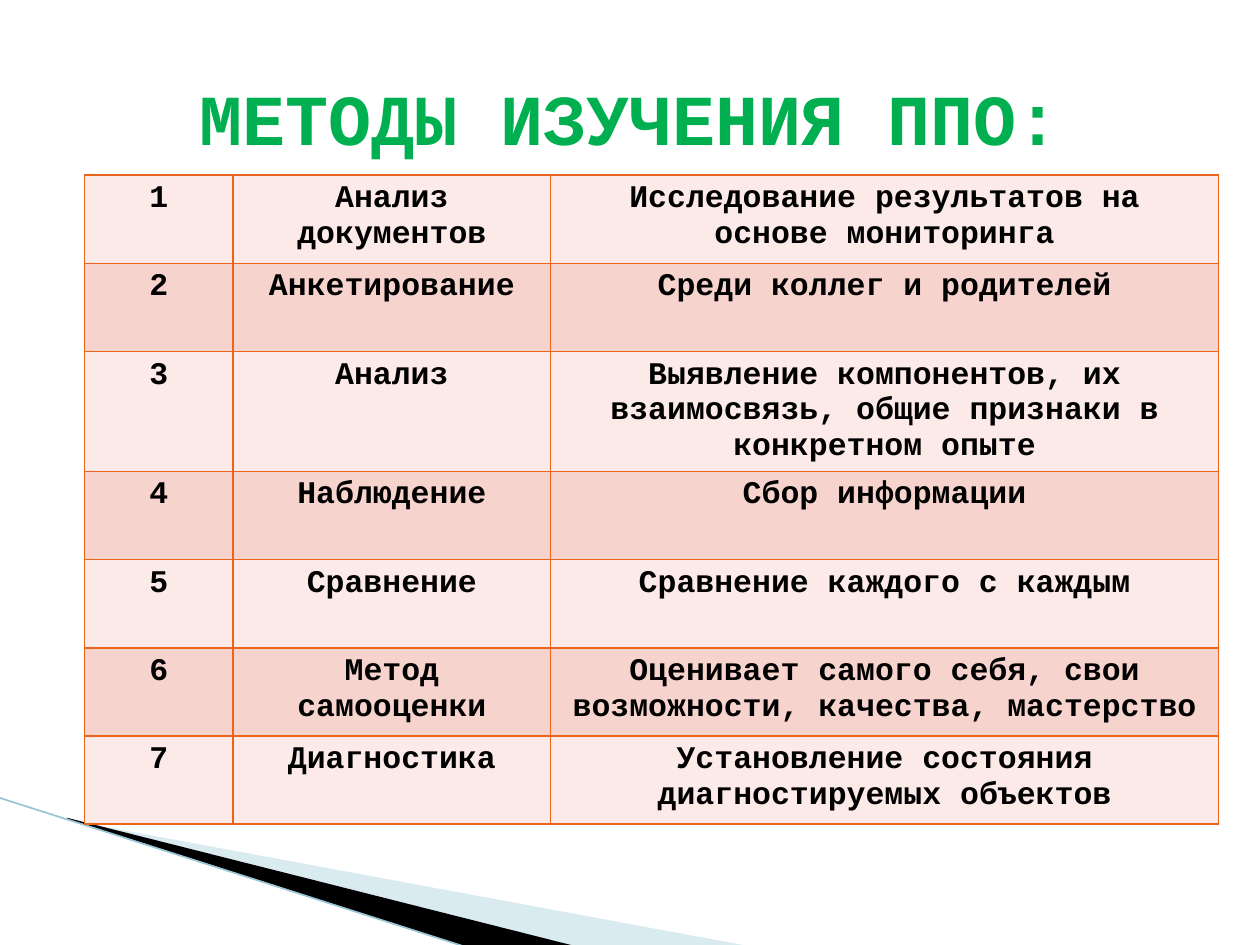
from lxml.etree import SubElement
from pptx import Presentation
from pptx.dml.color import RGBColor
from pptx.enum.shapes import MSO_CONNECTOR
from pptx.enum.text import MSO_ANCHOR, PP_ALIGN
from pptx.oxml import parse_xml
from pptx.oxml.ns import nsdecls, qn
from pptx.util import Inches, Pt

COLORS = {
    "title": "00B050",
    "text": "000000",
    "border": "EB641B",
    "light_row": "FBEAE8",
    "dark_row": "F7D3CD",
    "pale_wedge": "A0CBDC",
    "black_wedge": "000000",
    "edge": "97C5D8",
}
FONT = "Courier New"
COLUMN_WIDTHS = (1.18, 2.52, 5.3)
ROW_HEIGHT = 0.7
METHODS = [
    ("Анализ документов", "Исследование результатов на основе мониторинга"),
    ("Анкетирование", "Среди коллег и родителей"),
    ("Анализ", "Выявление компонентов, их взаимосвязь, общие признаки в конкретном опыте"),
    ("Наблюдение", "Сбор информации"),
    ("Сравнение", "Сравнение каждого с каждым"),
    ("Метод самооценки", "Оценивает самого себя, свои возможности, качества, мастерство"),
    ("Диагностика", "Установление состояния диагностируемых объектов"),
]


def rgb(name):
    return RGBColor.from_string(COLORS[name])


def write_centered(frame, text, size, color):
    para = frame.paragraphs[0]
    para.alignment = PP_ALIGN.CENTER
    span = para.add_run()
    span.text = text
    for key, value in {"name": FONT, "size": Pt(size), "bold": True}.items():
        setattr(span.font, key, value)
    span.font.color.rgb = rgb(color)


def add_wedge(page, points, color, opacity=100):
    corners = [(Inches(x), Inches(y)) for x, y in points]
    builder = page.shapes.build_freeform(*corners[0])
    builder.add_line_segments(corners[1:], close=True)
    wedge = builder.convert_to_shape()
    wedge.shadow.inherit = False
    wedge.fill.solid()
    wedge.fill.fore_color.rgb = rgb(color)
    wedge.line.fill.background()
    if opacity < 100:
        fill_color = wedge.element.spPr.find(qn("a:solidFill"))[0]
        SubElement(fill_color, qn("a:alpha")).set("val", str(opacity * 1000))


def add_edge(page, start, end):
    edge = page.shapes.add_connector(
        MSO_CONNECTOR.STRAIGHT, *(Inches(value) for value in start + end))
    edge.line.color.rgb = rgb("edge")
    edge.line.width = Pt(0.95)
    SubElement(edge.element.spPr, qn("a:effectLst"))


def set_borders(cell):
    """Put the border lines before the cell's fill, as the schema requires."""
    properties = cell._tc.get_or_add_tcPr()
    for index, side in enumerate(("lnL", "lnR", "lnT", "lnB")):
        properties.insert(index, parse_xml(
            f'<a:{side} {nsdecls("a")} w="{Pt(1)}"><a:solidFill>'
            f'<a:srgbClr val="{COLORS["border"]}"/></a:solidFill></a:{side}>'))


def add_methods_table(page):
    table = page.shapes.add_table(
        len(METHODS), len(COLUMN_WIDTHS), Inches(0.67), Inches(1.39),
        Inches(sum(COLUMN_WIDTHS)), Inches(ROW_HEIGHT * len(METHODS))).table
    table.first_row = False
    for column, width in zip(table.columns, COLUMN_WIDTHS):
        column.width = Inches(width)
    for index, (row, method) in enumerate(zip(table.rows, METHODS)):
        row.height = Inches(ROW_HEIGHT)
        for cell, text in zip(row.cells, (str(index + 1), *method)):
            write_centered(cell.text_frame, text, 18, "text")
            cell.fill.solid()
            cell.fill.fore_color.rgb = rgb("dark_row" if index % 2 else "light_row")
            set_borders(cell)


def format_title(page, text):
    title = page.shapes.title
    box = {"left": 0.5, "top": 0.3, "width": 9, "height": 1.25}
    for key, value in box.items():
        setattr(title, key, Inches(value))
    title.text_frame.vertical_anchor = MSO_ANCHOR.MIDDLE
    write_centered(title.text_frame, text, 41, "title")


def main():
    deck = Presentation()
    deck.slide_width, deck.slide_height = Inches(10), Inches(7.5)
    page = deck.slides.add_slide(deck.slide_layouts[5])
    add_wedge(page, [(0.55, 6.51), (5.95, 7.51), (4.56, 7.51), (0.55, 6.5)],
              "pale_wedge", opacity=40)
    add_wedge(page, [(0.53, 6.49), (4.57, 7.51), (3.72, 7.52), (0.54, 6.5)],
              "black_wedge")
    add_edge(page, (-0.01, 6.33), (3.71, 7.52))
    add_methods_table(page)
    format_title(page, "МЕТОДЫ ИЗУЧЕНИЯ ППО:")
    deck.save("out.pptx")


if __name__ == "__main__":
    main()
